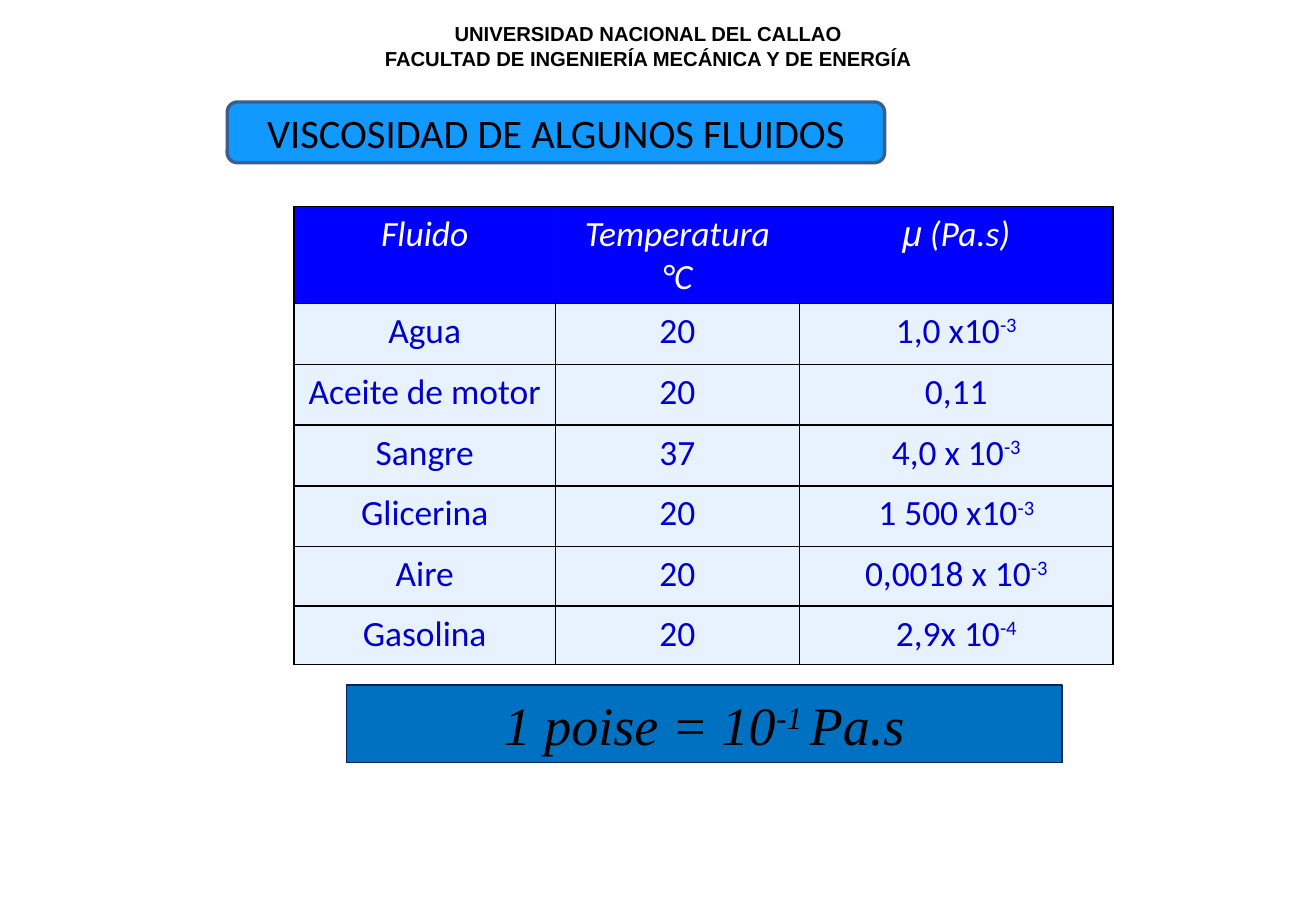
"""Build a slide with a table of fluid viscosities."""
from lxml.etree import SubElement
from pptx import Presentation
from pptx.dml.color import RGBColor as RGB
from pptx.enum.shapes import MSO_SHAPE as SHAPE
from pptx.enum.text import MSO_ANCHOR as ANCHOR, PP_ALIGN as ALIGN
from pptx.oxml.ns import qn
from pptx.util import Inches, Pt

COLORS = {
    "black": "000000", "white": "FFFFFF", "title": "1199FF", "edge": "3A5F8C",
    "head": "0000FF", "body": "E8F2FE", "ink": "0000CC",
    "note": "0070C0", "navy": "002060",
}
FORMATS = {
    "school": {"name": "Arial", "size": Pt(12), "bold": True},
    "title": {"name": "Calibri", "size": Pt(24)},
    "head": {"name": "Calibri", "size": Pt(21), "italic": True},
    "body": {"name": "Calibri", "size": Pt(21)},
    "note": {"name": "Times New Roman", "size": Pt(32), "italic": True},
}
SCHOOL = ["UNIVERSIDAD NACIONAL DEL CALLAO",
          "FACULTAD DE INGENIERÍA MECÁNICA Y DE ENERGÍA"]
HEADS = ["Fluido", "Temperatura °C", " (Pa.s)"]
FLUIDS = [
    ["Agua", "20", "1,0 x10^-3"],
    ["Aceite de motor", "20", "0,11"],
    ["Sangre", "37", "4,0 x 10^-3"],
    ["Glicerina", "20", "1 500 x10^-3"],
    ["Aire", "20", "0,0018 x 10^-3"],
    ["Gasolina", "20", "2,9x 10^-4"],
]
COLS = [2.15, 2.01, 2.58]
ROWS = [0.8, 0.5, 0.5, 0.5, 0.5, 0.49, 0.48]


def color(name):
    """Return the named colour."""
    return RGB.from_string(COLORS[name])


def add_run(para, text, style, ink, **extra):
    """Add one run in the given style."""
    run = para.add_run()
    run.text = text
    run.font.color.rgb = color(ink)
    for key, value in {**FORMATS[style], **extra}.items():
        setattr(run.font, key, value)
    return run


def write(para, text, style, ink):
    """Write a centred line, raising every second part between carets."""
    para.alignment = ALIGN.CENTER
    for i, part in enumerate(text.split("^")):
        run = add_run(para, part, style, ink)
        if i % 2:
            run.font._element.set("baseline", "30000")


def add_school(slide, box):
    """Place the university heading."""
    frame = slide.shapes.add_textbox(*map(Inches, box)).text_frame
    frame.word_wrap = True
    for i, line in enumerate(SCHOOL):
        para = frame.add_paragraph() if i else frame.paragraphs[0]
        write(para, line, "school", "black")


def add_label(slide, box, kind, text, style, edge, width):
    """Place a filled shape with one centred line."""
    shape = slide.shapes.add_shape(kind, *map(Inches, box))
    shape.shadow.inherit = False
    shape.fill.solid()
    shape.fill.fore_color.rgb = color(style)
    shape.line.color.rgb = color(edge)
    shape.line.width = Pt(width)
    frame = shape.text_frame
    frame.word_wrap = True
    frame.vertical_anchor = ANCHOR.MIDDLE
    write(frame.paragraphs[0], text, style, "black")


def add_edges(cell):
    """Draw a thin black line on each side of a cell."""
    props = cell._tc.get_or_add_tcPr()
    for side in ("lnL", "lnR", "lnT", "lnB"):
        line = SubElement(props, qn(f"a:{side}"), w=str(Pt(1)))
        fill = SubElement(line, qn("a:solidFill"))
        SubElement(fill, qn("a:srgbClr"), val=COLORS["black"])


def add_fluids(slide, box):
    """Place the viscosity table."""
    grid = [HEADS] + FLUIDS
    table = slide.shapes.add_table(
        len(ROWS), len(COLS), *map(Inches, box)).table
    for col, width in zip(table.columns, COLS):
        col.width = Inches(width)
    for row, height in zip(table.rows, ROWS):
        row.height = Inches(height)
    for r, texts in enumerate(grid):
        style, ink = ("body", "ink") if r else ("head", "white")
        for c, text in enumerate(texts):
            cell = table.cell(r, c)
            add_edges(cell)
            cell.fill.solid()
            cell.fill.fore_color.rgb = color(style)
            para = cell.text_frame.paragraphs[0]
            if (r, c) == (0, 2):
                add_run(para, "μ", style, ink, name="Arial")
            write(para, text, style, ink)


def main():
    """Build and save the slide."""
    deck = Presentation()
    deck.slide_width, deck.slide_height = Inches(10.83), Inches(7.5)
    slide = deck.slides.add_slide(deck.slide_layouts[6])
    add_school(slide, (2.03, 0.13, 6.61, 0.5))
    add_label(slide, (1.87, 0.84, 5.41, 0.5), SHAPE.ROUNDED_RECTANGLE,
              "VISCOSIDAD DE ALGUNOS FLUIDOS", "title", "edge", 2)
    add_fluids(slide, (2.42, 1.7, sum(COLS), sum(ROWS)))
    add_label(slide, (2.85, 5.64, 5.89, 0.64), SHAPE.RECTANGLE,
              "1 poise = 10^-1 ^Pa.s", "note", "navy", 0.75)
    deck.save("out.pptx")


if __name__ == "__main__":
    main()
